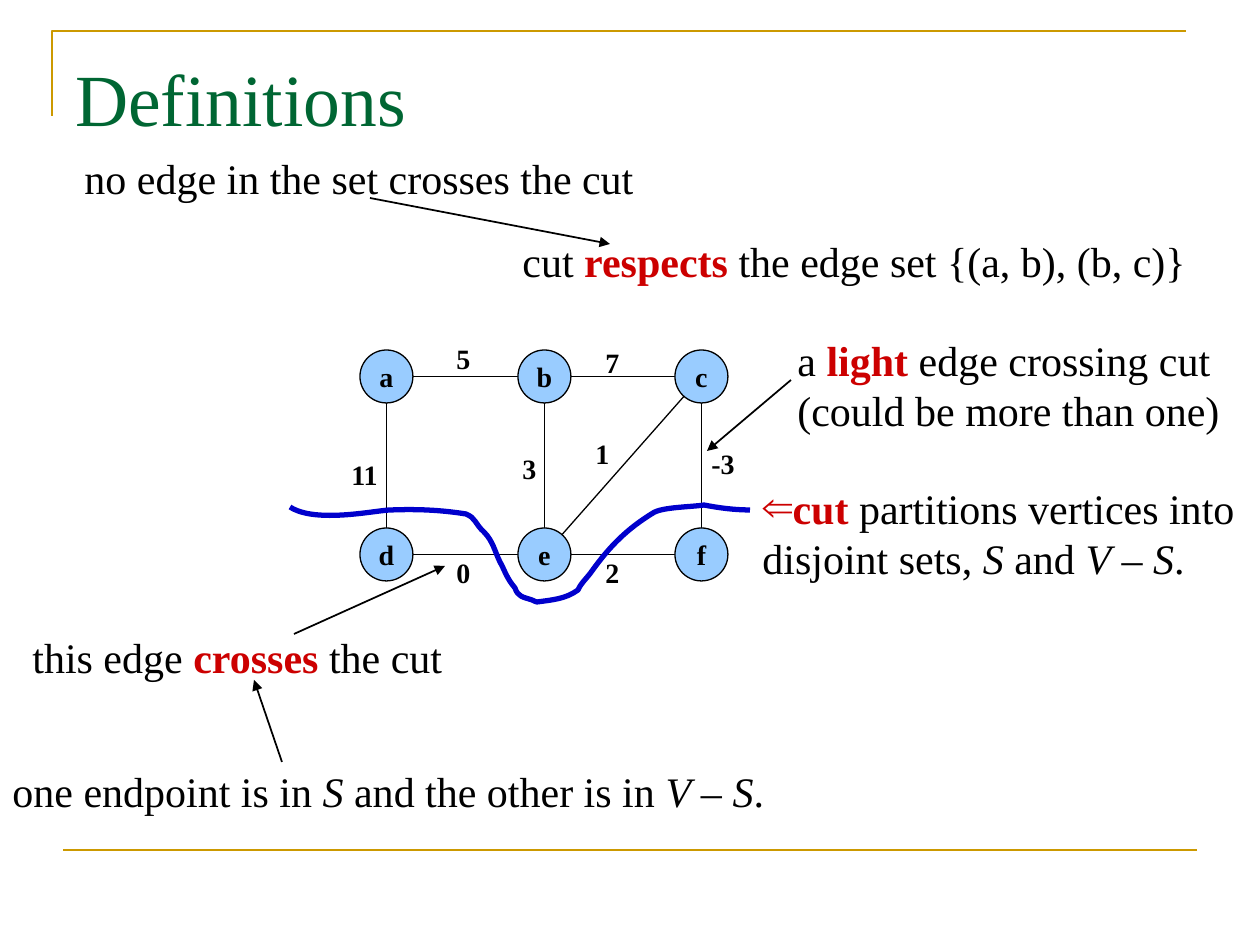
from typing import NamedTuple

from lxml import etree
from pptx import Presentation
from pptx import util as u
from pptx.dml.color import RGBColor
from pptx.enum import shapes, text
from pptx.oxml.ns import qn

PX = 914400 / 126  # EMU per px
FONT = "Times New Roman"
COLORS = {
    "black": "000000", "gold": "CC9900", "green": "006633",
    "red": "CC0000", "node": "99CCFF", "cut": "0000CC",
}
NODE_SIZE = 53


class Run(NamedTuple):
    text: str
    style: str = "plain"  # plain, key or italic


class Note(NamedTuple):
    left: int
    top: int
    width: int
    height: int
    lines: list[list[Run]]
    bullet: str = ""


class Node(NamedTuple):
    name: str
    left: int
    top: int

    @property
    def center(self) -> tuple[float, float]:
        return self.left + NODE_SIZE / 2, self.top + NODE_SIZE / 2


class Weight(NamedTuple):
    label: str
    left: int
    top: int
    width: int = 39


class Arrow(NamedTuple):
    x1: int
    y1: int
    x2: int
    y2: int


def emu(px: float) -> u.Emu:
    return u.Emu(round(px * PX))


def color(name: str) -> RGBColor:
    return RGBColor.from_string(COLORS[name])


def set_font(font, size: int, name: str = "black", bold: bool = False) -> None:
    font.name, font.size, font.bold = FONT, u.Pt(size), bold
    font.color.rgb = color(name)


def add_text(slide, left: int, top: int, width: int, height: int):
    shape = slide.shapes.add_textbox(emu(left), emu(top), emu(width), emu(height))
    shape.text_frame.word_wrap = False
    return shape.text_frame


def add_bullet(paragraph, character: str) -> None:
    properties = paragraph._p.get_or_add_pPr()
    properties.set("marL", "0")
    properties.set("indent", "0")
    bullet_color = etree.SubElement(properties, qn("a:buClr"))
    etree.SubElement(bullet_color, qn("a:srgbClr"), val=COLORS["red"])
    etree.SubElement(properties, qn("a:buFont"), typeface=FONT)
    etree.SubElement(properties, qn("a:buChar"), char=character)


def add_note(slide, note: Note) -> None:
    frame = add_text(slide, note.left, note.top, note.width, note.height)
    frame.auto_size = text.MSO_AUTO_SIZE.SHAPE_TO_FIT_TEXT
    for index, line in enumerate(note.lines):
        paragraph = frame.add_paragraph() if index else frame.paragraphs[0]
        if note.bullet and index == 0:
            add_bullet(paragraph, note.bullet)
        set_font(paragraph.font, 24)
        for part in line:
            run = paragraph.add_run()
            run.text = part.text
            if part.style == "key":
                run.font.bold = True
                run.font.color.rgb = color("red")
            elif part.style == "italic":
                run.font.italic = True


def add_weight(slide, weight: Weight) -> None:
    frame = add_text(slide, weight.left, weight.top, weight.width, 47)
    frame.auto_size = text.MSO_AUTO_SIZE.SHAPE_TO_FIT_TEXT
    frame.text = weight.label
    set_font(frame.paragraphs[0].font, 16, bold=True)


def add_node(slide, node: Node) -> None:
    shape = slide.shapes.add_shape(
        shapes.MSO_SHAPE.OVAL, emu(node.left), emu(node.top), emu(NODE_SIZE), emu(NODE_SIZE))
    shape.shadow.inherit = False
    shape.fill.solid()
    shape.fill.fore_color.rgb = color("node")
    shape.line.color.rgb = color("black")
    shape.line.width = u.Pt(0.75)
    frame = shape.text_frame
    frame.word_wrap = False
    frame.vertical_anchor = text.MSO_ANCHOR.MIDDLE
    frame.text = node.name
    frame.paragraphs[0].alignment = text.PP_ALIGN.CENTER
    set_font(frame.paragraphs[0].font, 16, bold=True)


def add_line(slide, ends, width: float, name: str = "black", arrow: bool = False) -> None:
    connector = slide.shapes.add_connector(
        shapes.MSO_CONNECTOR.STRAIGHT, *(emu(value) for value in ends))
    connector.line.color.rgb = color(name)
    connector.line.width = u.Pt(width)
    if arrow:
        etree.SubElement(connector.line._get_or_add_ln(), qn("a:tailEnd"), type="triangle")
    etree.SubElement(connector._element.spPr, qn("a:effectLst"))


def add_edge(slide, start: Node, end: Node) -> None:
    """Join two circles from rim to rim along the line of their centers."""
    (x1, y1), (x2, y2) = start.center, end.center
    ratio = NODE_SIZE / 2 / ((x2 - x1) ** 2 + (y2 - y1) ** 2) ** 0.5
    dx, dy = (x2 - x1) * ratio, (y2 - y1) * ratio
    add_line(slide, (x1 + dx, y1 + dy, x2 - dx, y2 - dy), 0.75)


def add_outline(slide, points, name: str, width: float, curved: bool = False) -> None:
    builder = slide.shapes.build_freeform(*points[0], scale=PX)
    builder.add_line_segments(points[1:], close=False)
    shape = builder.convert_to_shape()
    shape.shadow.inherit = False
    shape.fill.background()
    shape.line.color.rgb = color(name)
    shape.line.width = u.Pt(width)
    if curved:  # every three points become one Bézier segment
        outline = next(shape._element.iter(qn("a:path")))
        segments = outline.findall(qn("a:lnTo"))
        for index, segment in enumerate(segments):
            if index % 3 == 0:
                curve = etree.SubElement(outline, qn("a:cubicBezTo"))
            curve.append(segment[0])
            outline.remove(segment)


NODES = {name: Node(name, left, top)
         for names, top in (("abc", 350), ("def", 528))
         for name, left in zip(names, (360, 518, 675))}
EDGES = ("ab", "bc", "ad", "be", "cf", "de", "ef", "ec")
WEIGHTS = (
    Weight("5", 444, 335), Weight("7", 593, 339), Weight("11", 339, 451, 53),
    Weight("3", 510, 445), Weight("1", 583, 430), Weight("-3", 699, 440, 49),
    Weight("0", 444, 549), Weight("2", 593, 549),
)
CUT = (
    (290, 507), (316, 524), (377, 510), (391, 510), (417, 509), (441, 510), (466, 514),
    (476, 518), (475, 524), (484, 532), (493, 541), (495, 552), (500, 562),
    (503, 567), (505, 573), (508, 578), (510, 582), (515, 588), (515, 588),
    (518, 597), (523, 597), (532, 600), (533, 601), (537, 602), (537, 602),
    (552, 600), (566, 599), (578, 590), (581, 583), (588, 577), (592, 571),
    (610, 546), (627, 529), (653, 513), (662, 507), (692, 507), (704, 505),
    (719, 508), (735, 510), (750, 510),
)
NOTES = (
    Note(72, 146, 575, 63, [[Run("no edge in the set crosses the cut")]]),
    Note(510, 229, 689, 63, [[Run("cut "), Run("respects", "key"),
                              Run(" the edge set {(a, b), (b, c)}")]]),
    Note(785, 328, 447, 113, [[Run("a "), Run("light", "key"), Run(" edge crossing cut")],
                              [Run("(could be more than one)")]]),
    Note(750, 476, 508, 113, [
        [Run("cut", "key"), Run(" partitions vertices into")],
        [Run("disjoint sets, "), Run("S", "italic"), Run(" and "), Run("V", "italic"),
         Run(" – "), Run("S", "italic"), Run(".")]], "⇐"),
    Note(20, 625, 436, 63, [[Run("this edge "), Run("crosses", "key"), Run(" the cut")]]),
    Note(0, 759, 777, 63, [[Run("one endpoint is in "), Run("S", "italic"),
                            Run(" and the other is in "), Run("V – S", "italic"), Run(".")]]),
)
ARROWS = (Arrow(370, 198, 610, 244), Arrow(791, 380, 707, 451),
          Arrow(294, 634, 445, 566), Arrow(282, 762, 254, 680))


def main() -> None:
    presentation = Presentation()
    presentation.slide_width, presentation.slide_height = emu(1260), emu(945)
    slide = presentation.slides.add_slide(presentation.slide_layouts[6])

    # Frame lines and title
    add_outline(slide, ((52, 116), (52, 31), (1186, 31)), "gold", 1.5)
    add_line(slide, (63, 850, 1197, 850), 1.5, "gold")
    title = add_text(slide, 63, 38, 1134, 158)
    title.word_wrap = True
    title.margin_top = emu(15)
    title.text = "Definitions"
    set_font(title.paragraphs[0].font, 42, "green")

    # Weighted graph with the cut
    for start, end in EDGES:
        add_edge(slide, NODES[start], NODES[end])
    for node in NODES.values():
        add_node(slide, node)
    for weight in WEIGHTS:
        add_weight(slide, weight)
    add_outline(slide, CUT, "cut", 3, curved=True)

    # Notes and their arrows
    for note in NOTES:
        add_note(slide, note)
    for arrow in ARROWS:
        add_line(slide, arrow, 1, arrow=True)

    presentation.save("out.pptx")


if __name__ == "__main__":
    main()
